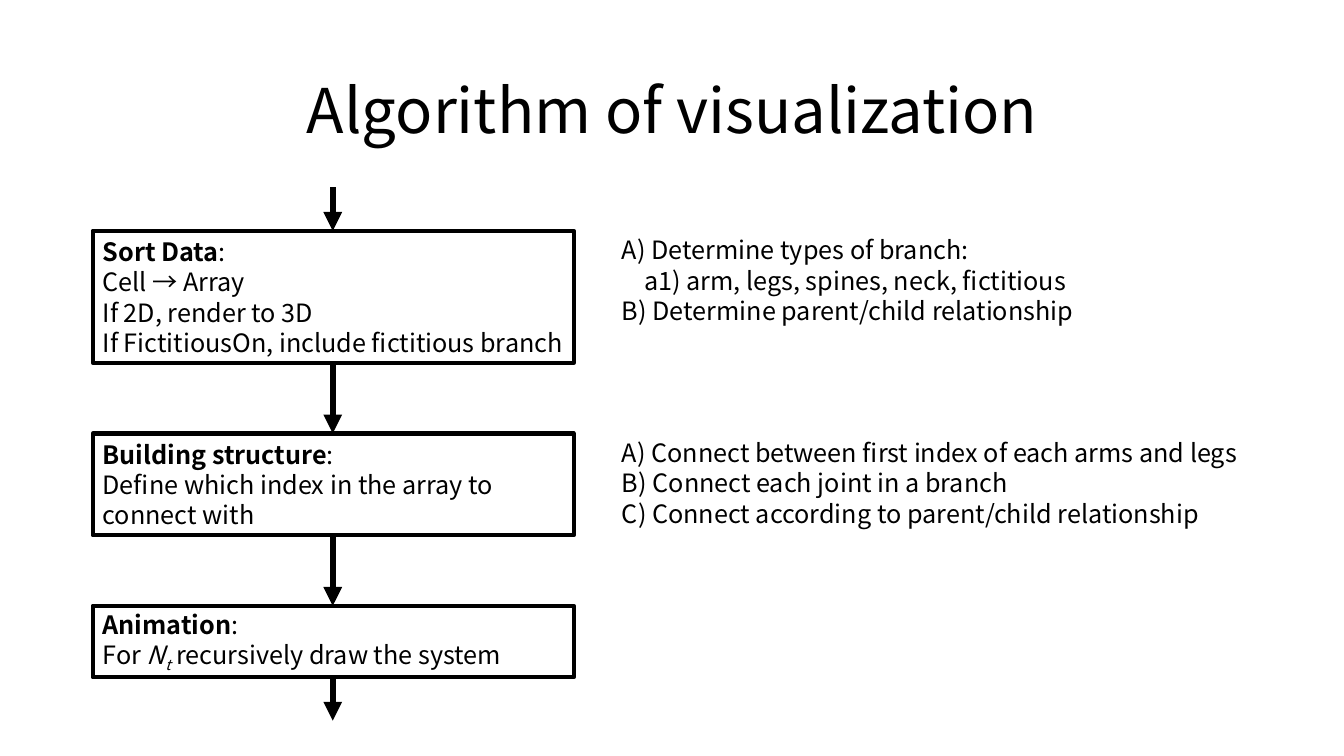
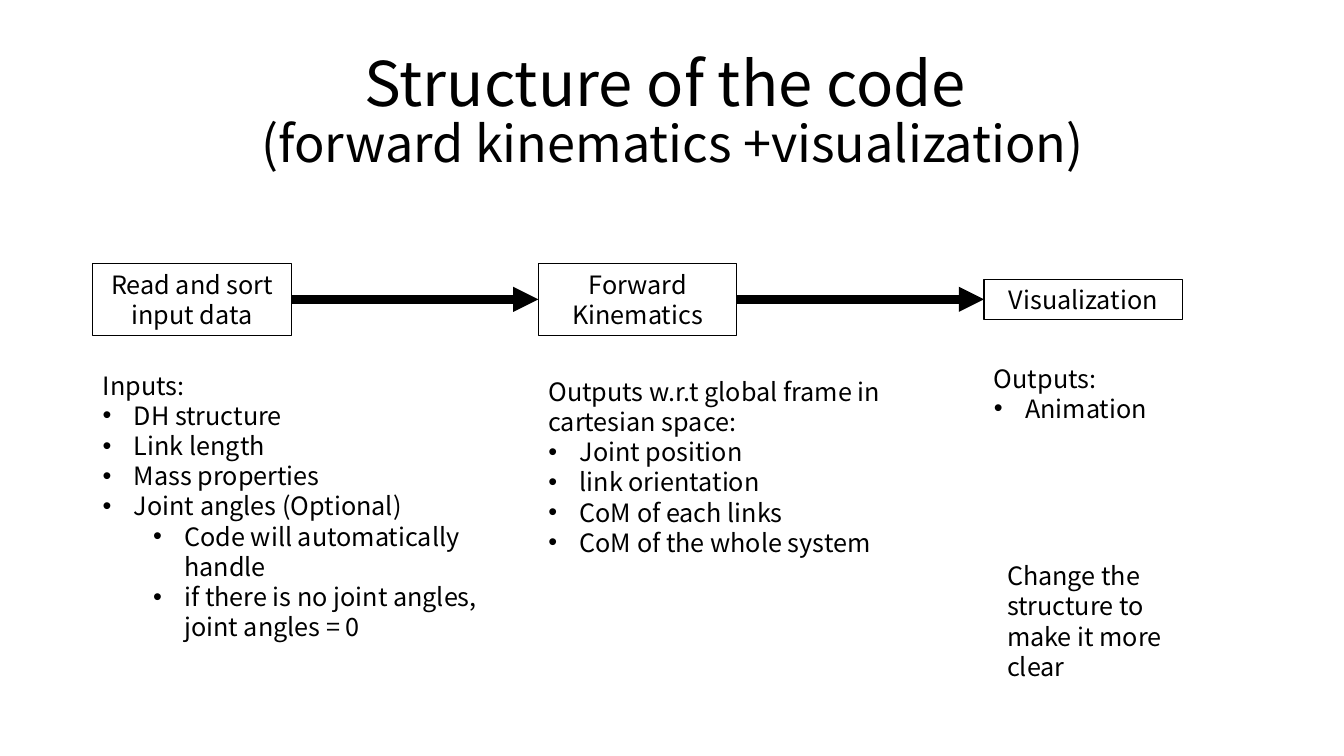
import pptx
import pptx.dml.color
import pptx.enum.shapes
import pptx.enum.text
import pptx.oxml
import pptx.oxml.ns
import pptx.util
from dataclasses import dataclass
from pptx.util import Inches

BLACK = pptx.dml.color.RGBColor(0x00, 0x00, 0x00)
WHITE = pptx.dml.color.RGBColor(0xFF, 0xFF, 0xFF)
FONT = "Noto Sans CJK KR"
BODY_SIZE = 18
MARGIN = 0.92
HANGING = 0.31
ALIGN = pptx.enum.text.PP_ALIGN
NS = pptx.oxml.ns.nsdecls("a")


@dataclass
class Run:
    text: str
    size: int = BODY_SIZE
    bold: bool = False
    italic: bool = False
    baseline: int = 0


@dataclass
class Line:
    runs: list
    indent: float = 0
    bullet: bool = False
    level: int = 0


def plain(text, indent=0):
    return Line([Run(text)], indent)


def heading(text):
    return Line([Run(text, bold=True), Run(":")])


def bullet(text, level=0):
    return Line([Run(text)], HANGING + 0.5 * level, True, level)


# Text
def add_run(paragraph, content):
    run = paragraph.add_run()
    run.text = content.text
    font = run.font
    font.name = FONT
    font.size = pptx.util.Pt(content.size)
    font.bold = content.bold
    font.italic = content.italic
    font.color.rgb = BLACK
    properties = run._r.get_or_add_rPr()
    properties.append(pptx.oxml.parse_xml(f'<a:ea {NS} typeface="{FONT}"/>'))
    if content.baseline:
        properties.set("baseline", str(content.baseline * 1000))


def write_lines(frame, lines, align=ALIGN.LEFT):
    frame.word_wrap = True
    frame.auto_size = pptx.enum.text.MSO_AUTO_SIZE.SHAPE_TO_FIT_TEXT
    for number, line in enumerate(lines):
        paragraph = frame.add_paragraph() if number else frame.paragraphs[0]
        paragraph.alignment = align
        paragraph.level = line.level
        properties = paragraph._p.get_or_add_pPr()
        if line.indent:
            properties.set("marL", str(Inches(line.indent)))
        if line.bullet:
            properties.set("indent", str(Inches(-HANGING)))
            properties.append(pptx.oxml.parse_xml(f'<a:buFont {NS} typeface="Arial"/>'))
            properties.append(pptx.oxml.parse_xml(f'<a:buChar {NS} char="•"/>'))
        for content in line.runs:
            add_run(paragraph, content)


# Elements
def add_titled_slide(deck, *title_runs):
    slide = deck.slides.add_slide(deck.slide_layouts[5])
    slide.background.fill.solid()
    slide.background.fill.fore_color.rgb = WHITE
    title = slide.shapes.title
    title.left, title.top = Inches(MARGIN), Inches(0.4)
    title.width, title.height = Inches(11.5), Inches(1.45)
    frame = title.text_frame
    frame.word_wrap = True
    frame.auto_size = pptx.enum.text.MSO_AUTO_SIZE.NONE
    frame.vertical_anchor = pptx.enum.text.MSO_ANCHOR.MIDDLE
    paragraph = frame.paragraphs[0]
    paragraph.alignment = ALIGN.CENTER
    paragraph.line_spacing = 0.9
    for number, content in enumerate(title_runs):
        if number:
            paragraph.add_line_break()
        add_run(paragraph, content)
    return slide


def add_box(slide, left, top, width, height, lines, border, align=ALIGN.LEFT):
    box = slide.shapes.add_shape(
        pptx.enum.shapes.MSO_SHAPE.RECTANGLE,
        Inches(left), Inches(top), Inches(width), Inches(height))
    box.shadow.inherit = False
    box.fill.background()
    box.line.color.rgb = BLACK
    box.line.width = pptx.util.Pt(border)
    write_lines(box.text_frame, lines, align)


def add_note(slide, left, top, width, height, lines):
    note = slide.shapes.add_textbox(
        Inches(left), Inches(top), Inches(width), Inches(height))
    write_lines(note.text_frame, lines)


def add_arrow(slide, start, end, weight):
    arrow = slide.shapes.add_connector(
        pptx.enum.shapes.MSO_CONNECTOR.STRAIGHT,
        *(Inches(value) for value in (*start, *end)))
    arrow.line.color.rgb = BLACK
    arrow.line.width = pptx.util.Pt(weight)
    arrow.line._get_or_add_ln().append(
        pptx.oxml.parse_xml(f'<a:tailEnd {NS} type="triangle"/>'))
    arrow._element.spPr.append(pptx.oxml.parse_xml(f"<a:effectLst {NS}/>"))


# Slides
def build_algorithm(deck):
    slide = add_titled_slide(deck, Run("Algorithm of visualization", 44))
    width, gap, outer_gap, weight = 4.77, 0.7, 0.43, 4.5
    center = 3.3
    stages = [
        (1.31,
         [heading("Sort Data"), plain("Cell → Array"),
          plain("If 2D, render to 3D"),
          plain("If FictitiousOn, include fictitious branch")],
         5.97,
         [plain("A) Determine types of branch:"),
          plain("a1) arm, legs, spines, neck, fictitious", indent=0.22),
          plain("B) Determine parent/child relationship")]),
        (1.01,
         [heading("Building structure"),
          plain("Define which index in the array to connect with")],
         6.81,
         [plain("A) Connect between first index of each arms and legs"),
          plain("B) Connect each joint in a branch"),
          plain("C) Connect according to parent/child relationship")]),
        (0.71,
         [heading("Animation"),
          Line([Run("For "), Run("N", italic=True),
                Run("t", italic=True, baseline=-25),
                Run(" recursively draw the system")])],
         0, []),
    ]
    top = 2.29
    incoming = outer_gap
    for height, step, note_width, details in stages:
        add_box(slide, MARGIN, top, width, height, step, 3)
        add_arrow(slide, (center, top - incoming), (center, top), weight)
        if details:
            add_note(slide, 6.07, top - 0.01, note_width, 1.01, details)
        bottom = top + height
        top, incoming = bottom + gap, gap
    add_arrow(slide, (center, bottom), (center, bottom + outer_gap), weight)


def build_structure(deck):
    slide = add_titled_slide(deck, Run("Structure of the code ", 44),
                             Run("(forward kinematics +visualization)", 36))
    width, pitch, middle = 1.97, 4.42, 2.97
    stages = [
        ("Read and sort input data", 0.71, 3.62, 4.14, 2.83,
         [plain("Inputs:"), bullet("DH structure"), bullet("Link length"),
          bullet("Mass properties"), bullet("Joint angles (Optional)"),
          bullet("Code will automatically handle", 1),
          bullet("if there is no joint angles, joint angles = 0", 1)]),
        ("Forward Kinematics", 0.71, 3.68, 3.51, 1.92,
         [plain("Outputs w.r.t global frame in cartesian space:"),
          bullet("Joint position"), bullet("link orientation"),
          bullet("CoM of each links"), bullet("CoM of the whole system")]),
        ("Visualization", 0.4, 3.55, 2.83, 0.71,
         [plain("Outputs:"), bullet("Animation")]),
    ]
    for number, (name, height, note_top, note_width, note_height, details) in enumerate(stages):
        left = MARGIN + number * pitch
        add_box(slide, left, middle - height / 2, width, height,
                [plain(name)], 0.75, ALIGN.CENTER)
        add_note(slide, left, note_top, note_width, note_height, details)
        if number:
            add_arrow(slide, (left - pitch + width, middle), (left, middle), 6)
    add_note(slide, 9.89, 5.51, 2.23, 1.01,
             [plain("Change the structure to make it more clear")])


def main():
    deck = pptx.Presentation()
    deck.slide_width, deck.slide_height = Inches(13.33), Inches(7.5)
    build_algorithm(deck)
    build_structure(deck)
    deck.save("out.pptx")


if __name__ == "__main__":
    main()
